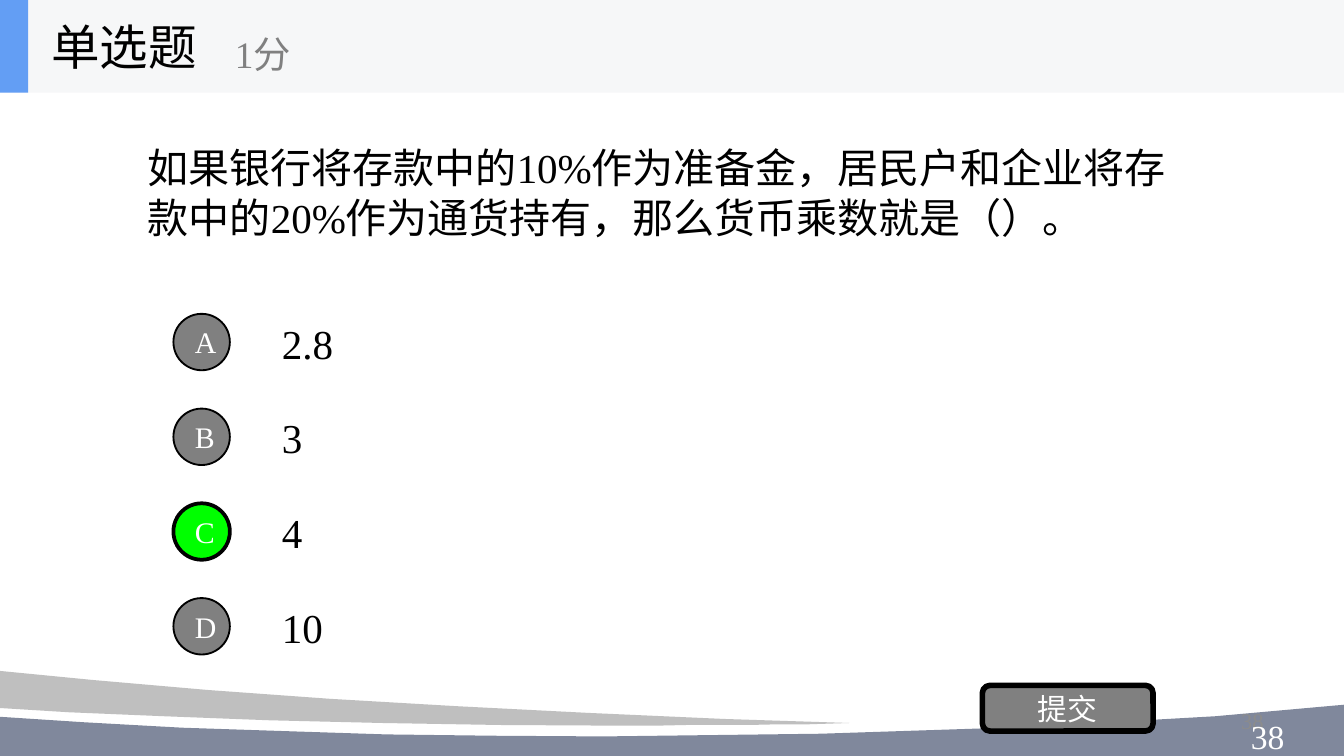
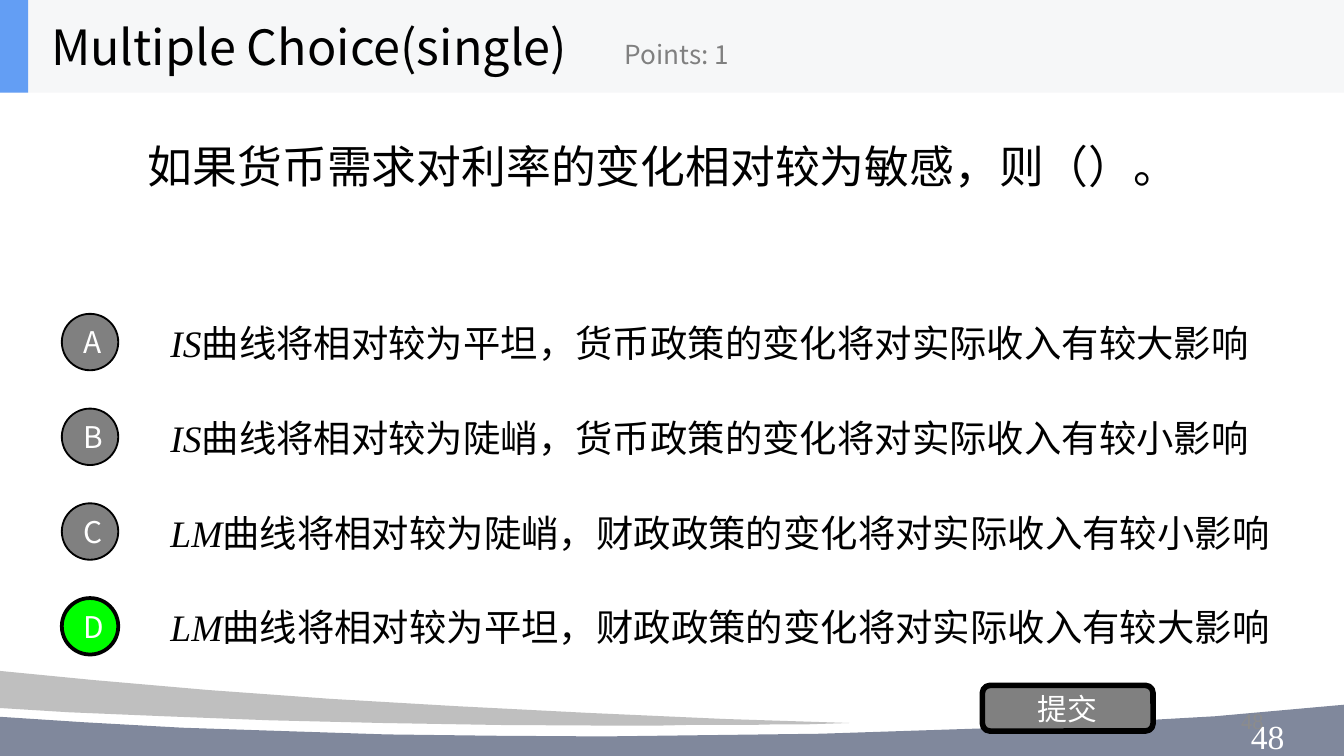
from lxml.etree import SubElement
from pptx import Presentation
from pptx.dml.color import RGBColor
from pptx.enum.shapes import MSO_SHAPE
from pptx.enum.text import MSO_ANCHOR, MSO_AUTO_SIZE, PP_ALIGN
from pptx.oxml.ns import qn
from pptx.util import Pt

PX = 4572  # 200 px to the inch
HEX = {
    "black": "000000", "white": "FFFFFF", "gray": "808080", "pale": "8C8C8C",
    "green": "00FF00", "band": "F6F7F8", "blue": "639EF4",
    "slate": "80889C", "silver": "BFBFBF",
}
SERIF, SANS, ARIAL = "Times New Roman", "Noto Sans CJK SC", "Arial"
ASIAN = {SERIF: ARIAL, SANS: SANS, ARIAL: ARIAL}
STEPS = 6

# A point with two numbers is a line end; one with six is a Bezier curve.
WAVES = [
    ("slate", [(2500, 980), (2500, 1125), (-166, 1125), (-166, 1054), (-12, 1066),
               (258, 1086, 568, 1096, 898, 1096),
               (1558, 1096, 2138, 1052, 2482, 984)]),
    ("silver", [(-166, 980), (-26, 996), (292, 1030, 666, 1054, 1078, 1070),
                (1264, 1076), (1202, 1078), (1114, 1078, 1022, 1080, 928, 1080),
                (554, 1080, 216, 1068, -28, 1052), (-166, 1040)]),
]
BANDS = [("band", 2000), ("blue", 42)]

QUIZ = [
    {
        "title": "单选题", "wide": 416, "points": "1分", "mark": (330, 20),
        "font": SERIF,
        "ask": "如果银行将存款中的10%作为准备金，居民户和企业将存款中的20%作为通货持有，那么货币乘数就是（）。",
        "top": 110, "style": (22, SERIF), "page": "38",
        "picks": [("", "2.8"), ("", "3"), ("", "4"), ("", "10")],
        "size": 22, "dot": 258, "left": 400, "width": 1400, "key": "C",
    },
    {
        "title": "Multiple Choice(single)", "wide": 840, "points": "Points: 1",
        "mark": (910, 14), "font": SANS,
        "ask": "如果货币需求对利率的变化相对较为敏感，则（）。",
        "top": 70, "style": (24, ARIAL), "page": "48",
        "picks": [
            ("IS", "曲线将相对较为平坦，货币政策的变化将对实际收入有较大影响"),
            ("IS", "曲线将相对较为陡峭，货币政策的变化将对实际收入有较小影响"),
            ("LM", "曲线将相对较为陡峭，财政政策的变化将对实际收入有较小影响"),
            ("LM", "曲线将相对较为平坦，财政政策的变化将对实际收入有较大影响"),
        ],
        "size": 20, "dot": 92, "left": 234, "width": 1716, "key": "D",
    },
]


def write(shape, text, size, font, color="black", align=PP_ALIGN.LEFT,
          wrap=True, lead=""):
    """Fill a shape with one paragraph, led by an optional italic term."""
    frame = shape.text_frame
    frame.word_wrap = wrap
    frame.auto_size = MSO_AUTO_SIZE.NONE
    frame.vertical_anchor = MSO_ANCHOR.MIDDLE
    para = frame.paragraphs[0]
    para.text = lead or text
    if lead:
        para.add_run().text = text
    para.alignment = align
    for run in para.runs:
        run.font.size = Pt(size)
        run.font.name = font
        run.font.italic = bool(lead) and run.text == lead
        run.font.color.rgb = RGBColor.from_string(HEX[color])
        SubElement(run.font._element, qn("a:ea")).set("typeface", ASIAN[font])


def paint(shape, fill, line=0):
    """Set a plain fill and a black outline of the given points, or none."""
    shape.shadow.inherit = False
    shape.fill.solid()
    shape.fill.fore_color.rgb = RGBColor.from_string(HEX[fill])
    if line:
        shape.line.color.rgb = RGBColor.from_string(HEX["black"])
        shape.line.width = Pt(line)
    else:
        shape.line.fill.background()


deck = Presentation()
deck.slide_width, deck.slide_height = 2000 * PX, 1125 * PX
layout = deck.slide_layouts[1]
slides = [deck.slides.add_slide(layout) for _ in QUIZ]

# Waves and header bands are drawn once and moved into the shared layout.
decor = []
for fill, path in WAVES:
    dots = [path[0]]
    for step in path[1:]:
        if len(step) == 2:
            dots.append(step)
            continue
        x0, y0 = dots[-1]
        x1, y1, x2, y2, x3, y3 = step
        for n in range(1, STEPS + 1):
            t = n / STEPS
            a, b, c, d = (1 - t) ** 3, 3 * t * (1 - t) ** 2, 3 * t * t * (1 - t), t ** 3
            dots.append((a * x0 + b * x1 + c * x2 + d * x3,
                         a * y0 + b * y1 + c * y2 + d * y3))
    pen = slides[0].shapes.build_freeform(*dots[0], scale=PX)
    pen.add_line_segments(dots[1:], close=True)
    wave = pen.convert_to_shape()
    paint(wave, fill)
    decor.append(wave)
for fill, width in BANDS:
    band = slides[0].shapes.add_shape(MSO_SHAPE.RECTANGLE, 0, 0, width * PX, 138 * PX)
    paint(band, fill)
    decor.append(band)
for num, shape in enumerate(decor, 101):
    shape.element.nvSpPr.cNvPr.set("id", str(num))
    layout.shapes.element.append(shape.element)

for slide, quiz in zip(slides, QUIZ):
    shapes, font = slide.shapes, quiz["font"]

    title = shapes.title
    title.left, title.top = 56 * PX, 0
    title.width, title.height = quiz["wide"] * PX, 138 * PX
    write(title, quiz["title"], 26, font, wrap=False)

    ask = slide.placeholders[1]
    ask.left, ask.top = 200 * PX, quiz["top"] * PX
    ask.width, ask.height = 1600 * PX, 352 * PX
    para = ask.text_frame.paragraphs[0]
    props = para._p.get_or_add_pPr()
    props.set("marL", "0")
    props.set("indent", "0")
    SubElement(props, qn("a:buNone"))
    para.space_before = Pt(0)
    write(ask, quiz["ask"], *quiz["style"])

    left, size = quiz["mark"]
    mark = shapes.add_textbox(left * PX, 24 * PX, 500 * PX, 112 * PX)
    write(mark, quiz["points"], size, font, "gray", wrap=False)

    for row, (lead, text) in enumerate(quiz["picks"]):
        step = 141 * row
        box = shapes.add_textbox(quiz["left"] * PX, (457 + step) * PX,
                                 quiz["width"] * PX, 106 * PX)
        write(box, text, quiz["size"], SERIF, lead=lead)
        letter = "ABCD"[row]
        right = letter == quiz["key"]
        dot = shapes.add_shape(MSO_SHAPE.OVAL, quiz["dot"] * PX, (467 + step) * PX,
                               84 * PX, 84 * PX)
        paint(dot, "green" if right else "gray", 2 if right else 1)
        write(dot, letter, 16, font, "white", PP_ALIGN.CENTER)

    button = shapes.add_shape(MSO_SHAPE.ROUNDED_RECTANGLE, 1462 * PX, 1020 * PX,
                              254 * PX, 68 * PX)
    paint(button, "gray", 3)
    write(button, "提交", 16, font, "white", PP_ALIGN.CENTER)

    small = shapes.add_textbox(1434 * PX, 1042 * PX, 466 * PX, 60 * PX)
    write(small, quiz["page"], 12, SERIF, "pale", PP_ALIGN.RIGHT)
    page = shapes.add_textbox(1842 * PX, 1056 * PX, 466 * PX, 60 * PX)
    write(page, quiz["page"], 18, SERIF, "white")
    page.text_frame.vertical_anchor = MSO_ANCHOR.TOP

deck.save("out.pptx")
